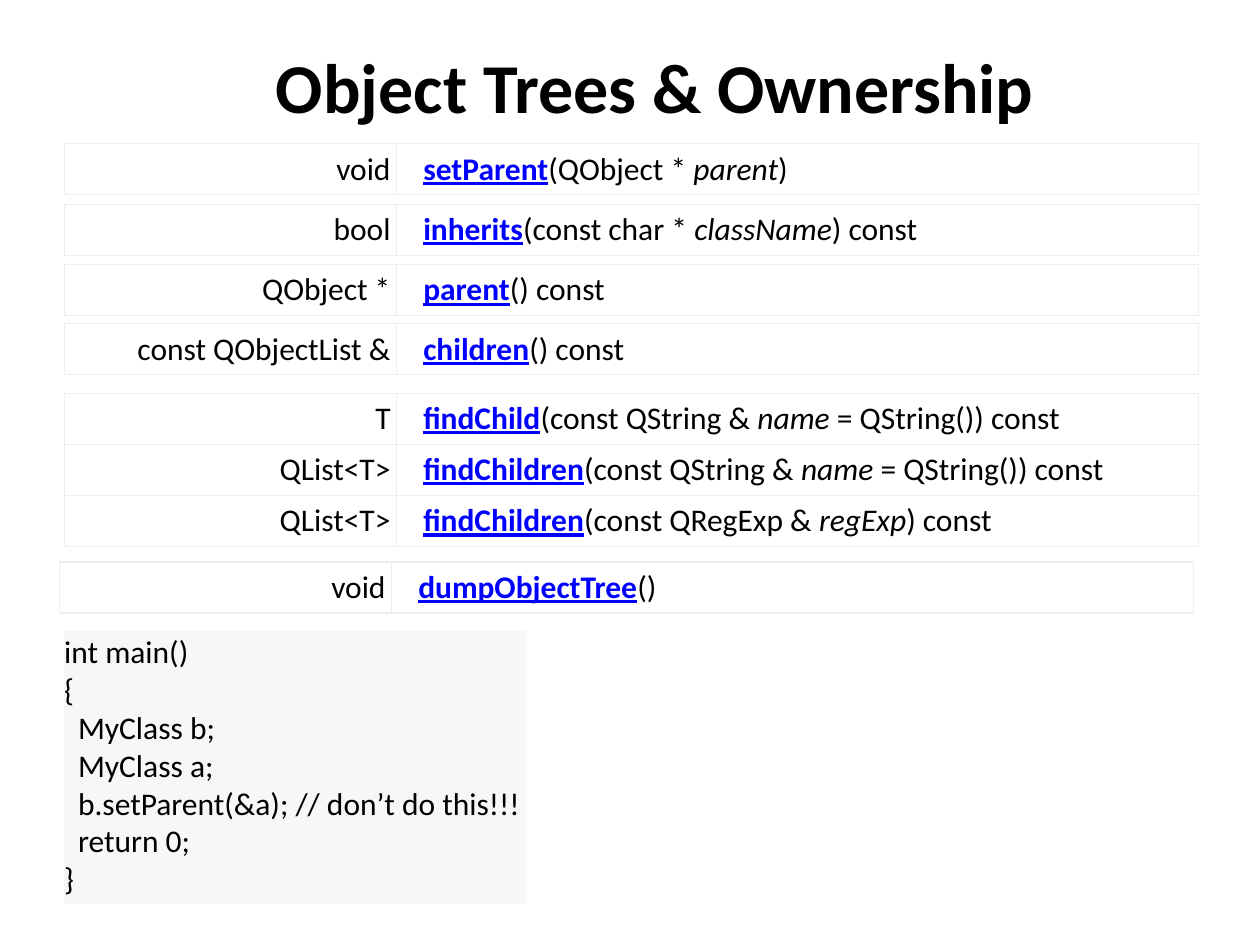
from lxml import etree
from pptx import Presentation
from pptx import util as u
from pptx.dml.color import RGBColor
from pptx.enum import shapes, text
from pptx.oxml.ns import qn

FONT = "Calibri"
BLACK, BLUE, WHITE, GRID, CODE_FILL = "000000", "0000FF", "FFFFFF", "EEEEEE", "F7F7F7"

TITLE = "Object Trees & Ownership"
# Each table: left, top, rows of (return type, method, (plain, italic, plain) signature)
TABLES = [
    (0.51, 1.14, [("void", "setParent", ("(QObject *\u00a0", "parent", ")"))]),
    (0.51, 1.62, [("bool", "inherits", ("(const char *\u00a0", "className", ") const"))]),
    (0.51, 2.1, [("QObject *", "parent", ("() const",))]),
    (0.51, 2.57, [("const QObjectList &", "children", ("() const",))]),
    (0.51, 3.12, [
        ("T", "findChild", ("(const QString &\u00a0", "name", "\u00a0= QString()) const")),
        ("QList<T>", "findChildren", ("(const QString &\u00a0", "name", "\u00a0= QString()) const")),
        ("QList<T>", "findChildren", ("(const QRegExp &\u00a0", "regExp", ") const")),
    ]),
    (0.47, 4.46, [("void", "dumpObjectTree", ("()",))]),
]
COLUMNS = (2.64, 6.36)
ROW_HEIGHT = 0.4
TYPE_MARGINS = (0.1, 0.03, 0.05, 0.03)
METHOD_MARGINS = (0.21, 0.05, 0.21, 0.05)

# Code lines: indent level, text
CODE = [
    (0, "int main()"),
    (0, "{"),
    (1, "MyClass b;"),
    (1, "MyClass a;"),
    (1, "b.setParent(&a); // don\u2019t do this!!!"),
    (1, "return 0;"),
    (0, "}"),
]
CODE_INDENT = 0.11


def color(value):
    return RGBColor.from_string(value)


def add_span(para, words, size=18, fill=BLACK, bold=False, italic=False, underline=False):
    span = para.add_run()
    span.text = words
    font = span.font
    font.name, font.size, font.color.rgb = FONT, u.Pt(size), color(fill)
    font.bold, font.italic, font.underline = bold, italic, underline


def set_margins(target, margins):
    (target.margin_left, target.margin_top,
     target.margin_right, target.margin_bottom) = map(u.Inches, margins)


def format_cell(cell, margins):
    set_margins(cell, margins)
    cell.vertical_anchor = text.MSO_ANCHOR.MIDDLE
    properties = cell._tc.get_or_add_tcPr()
    for side in ("a:lnL", "a:lnR", "a:lnT", "a:lnB"):
        line = etree.SubElement(properties, qn(side), w=str(u.Pt(0.75)))
        fill = etree.SubElement(line, qn("a:solidFill"))
        etree.SubElement(fill, qn("a:srgbClr"), val=GRID)
    cell.fill.solid()
    cell.fill.fore_color.rgb = color(WHITE)


def add_method_table(page, left, top, methods):
    frame = page.shapes.add_table(
        len(methods), len(COLUMNS), u.Inches(left), u.Inches(top),
        u.Inches(sum(COLUMNS)), u.Inches(ROW_HEIGHT * len(methods)))
    table = frame.table
    table.first_row = table.horz_banding = False
    for column, width in zip(table.columns, COLUMNS):
        column.width = u.Inches(width)
    for row, (kind, method, signature) in zip(table.rows, methods):
        kind_cell, method_cell = row.cells
        format_cell(kind_cell, TYPE_MARGINS)
        format_cell(method_cell, METHOD_MARGINS)
        para = kind_cell.text_frame.paragraphs[0]
        para.alignment = text.PP_ALIGN.RIGHT
        add_span(para, kind)
        para = method_cell.text_frame.paragraphs[0]
        add_span(para, method, fill=BLUE, bold=True, underline=True)
        for index, words in enumerate(signature):
            add_span(para, words, italic=index == 1)


deck = Presentation()
deck.slide_width, deck.slide_height = u.Inches(10), u.Inches(7.5)
page = deck.slides.add_slide(deck.slide_layouts[5])

# Title
title = page.shapes.title
title.left, title.top = u.Inches(2.09), u.Inches(0.29)
title.width, title.height = u.Inches(6.28), u.Inches(0.77)
title.text_frame.word_wrap = False
para = title.text_frame.paragraphs[0]
para.alignment = text.PP_ALIGN.LEFT
add_span(para, TITLE, size=40, bold=True)

# Method tables
for left, top, methods in TABLES:
    add_method_table(page, left, top, methods)

# Code example
box = page.shapes.add_shape(
    shapes.MSO_SHAPE.RECTANGLE, u.Inches(0.51), u.Inches(5.01), u.Inches(3.67), u.Inches(2.16))
box.shadow.inherit = False
box.fill.solid()
box.fill.fore_color.rgb = color(CODE_FILL)
box.line.fill.background()
frame = box.text_frame
frame.word_wrap = False
frame.vertical_anchor = text.MSO_ANCHOR.MIDDLE
set_margins(frame, (0, 0, 0, 0.04))
for index, (level, words) in enumerate(CODE):
    para = frame.add_paragraph() if index else frame.paragraphs[0]
    para.alignment = text.PP_ALIGN.LEFT
    para._p.get_or_add_pPr().set("marL", str(u.Inches(CODE_INDENT * level)))
    add_span(para, words)

deck.save("out.pptx")
